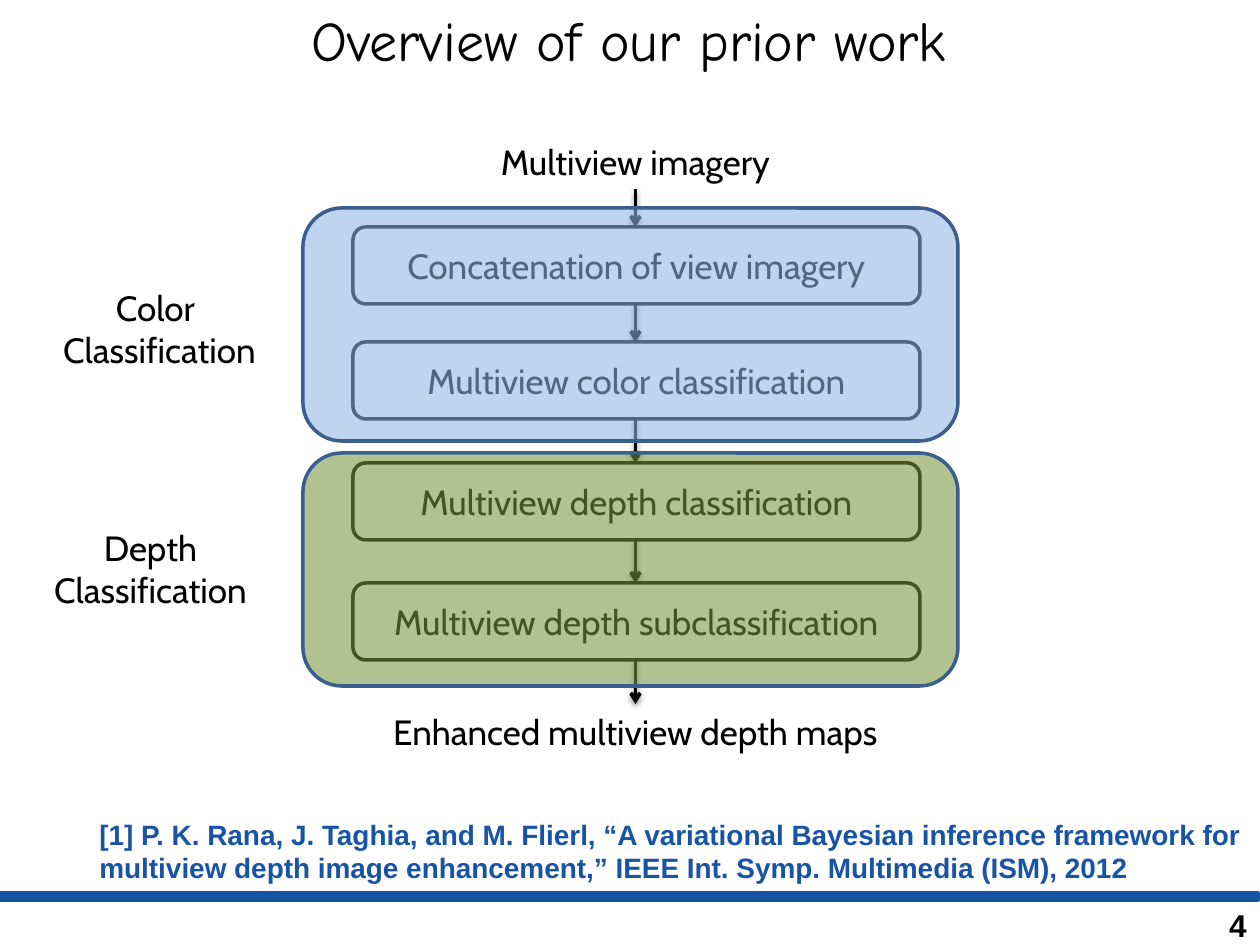
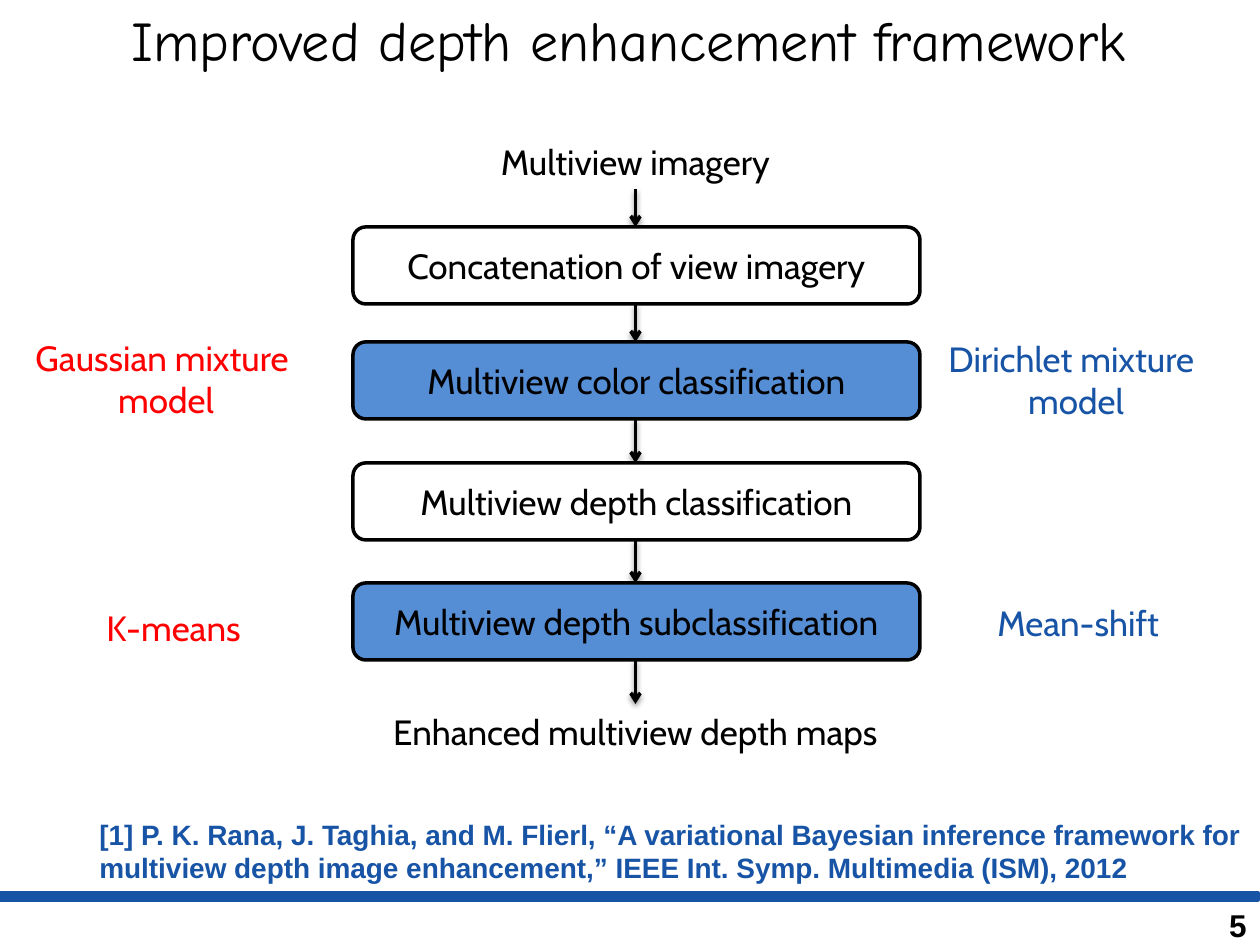
from dataclasses import dataclass
from lxml.etree import SubElement
from pptx import Presentation
from pptx.dml.color import RGBColor
from pptx.enum.shapes import MSO_CONNECTOR, MSO_SHAPE
from pptx.enum.text import MSO_ANCHOR, PP_ALIGN
from pptx.oxml.ns import qn
from pptx.util import Emu, Pt


@dataclass(frozen=True)
class Theme:
    black: str = "000000"
    white: str = "FFFFFF"
    accent: str = "1854A6"
    red: str = "FF0000"
    highlight: str = "558ED5"
    color_stage: str = "8EB4E3"
    depth_stage: str = "77933C"
    stage_line: str = "3A5F8C"
    stage_alpha: int = 57
    title_font: str = "Comic Neue"
    body_font: str = "Cabin"
    footer_font: str = "Arial"
    title_size: int = 32
    body_size: int = 20
    cite_size: int = 16
    number_size: int = 18
    line_width: int = 2


THEME = Theme()
PX_PER_INCH = 126
SLIDE = (0, 0, 1260, 945)
FLOW = (353, 134, 567, 625)
STEP_HEIGHT = 77
STEPS = {
    "Concatenation of view imagery": 93,
    "Multiview color classification": 208,
    "Multiview depth classification": 329,
    "Multiview depth subclassification": 449,
}
CITATION = (
    "[1] P. K. Rana, J. Taghia, and M. Flierl, “A variational Bayesian inference "
    "framework for multiview depth image enhancement,” IEEE Int. Symp. Multimedia "
    "(ISM), 2012"
)
LEFT, CENTER, RIGHT = PP_ALIGN.LEFT, PP_ALIGN.CENTER, PP_ALIGN.RIGHT


def px(n):
    return Emu(round(n * 914400 / PX_PER_INCH))


def rgb(color):
    return RGBColor.from_string(color)


def write(sp, text, font=THEME.body_font, size=THEME.body_size,
          color=THEME.black, bold=False, aligns=(CENTER,)):
    """Fill a shape with text; the last alignment serves all later lines."""
    tf = sp.text_frame
    tf.word_wrap = True
    tf.text = text
    for i, p in enumerate(tf.paragraphs):
        p.alignment = aligns[min(i, len(aligns) - 1)]
        for r in p.runs:
            r.font.name, r.font.size, r.font.bold = font, Pt(size), bold
            r.font.color.rgb = rgb(color)


def add_label(slide, box, text, **style):
    sp = slide.shapes.add_textbox(*map(px, box))
    write(sp, text, **style)


def add_box(slide, kind, box, fill, line):
    sp = slide.shapes.add_shape(kind, *map(px, box))
    sp.shadow.inherit = False
    sp.fill.solid()
    sp.fill.fore_color.rgb = rgb(fill)
    sp.line.color.rgb = rgb(line)
    sp.line.width = Pt(THEME.line_width)
    sp.text_frame.vertical_anchor = MSO_ANCHOR.MIDDLE
    return sp


def add_arrow(slide, x, top, bottom):
    c = slide.shapes.add_connector(
        MSO_CONNECTOR.STRAIGHT, px(x), px(top), px(x), px(bottom))
    c.line.color.rgb = rgb(THEME.black)
    c.line.width = Pt(THEME.line_width)
    props = c.line._get_or_add_ln()
    SubElement(props, qn("a:tailEnd"), type="arrow")
    # Soft shadow straight below the line
    effects = SubElement(props.getparent(), qn("a:effectLst"))
    shadow = SubElement(effects, qn("a:outerShdw"), blurRad=str(Pt(3.1)),
                        dist=str(Pt(1.6)), dir="5400000", rotWithShape="0")
    tint = SubElement(shadow, qn("a:srgbClr"), val=THEME.black)
    SubElement(tint, qn("a:alpha"), val="38000")


def add_frame(slide, box, title, number):
    """Title, citation, footer band and slide number."""
    x, y, w, h = box
    sp = add_box(slide, MSO_SHAPE.RECTANGLE, (x, y, w - 2, 79), THEME.white, THEME.white)
    write(sp, title, font=THEME.title_font, size=THEME.title_size)
    add_label(slide, (x + 87, y + h - 134, w - 88, 81), CITATION,
              font=THEME.footer_font, size=THEME.cite_size,
              color=THEME.accent, bold=True, aligns=(LEFT,))
    add_box(slide, MSO_SHAPE.RECTANGLE, (x, y + h - 52, w - 2, 7),
            THEME.accent, THEME.accent)
    add_label(slide, (x + w - 91, y + h - 45, 90, 50), str(number),
              font=THEME.footer_font, size=THEME.number_size,
              bold=True, aligns=(RIGHT,))


def add_flow(slide, box, highlighted=()):
    """Input, four processing steps and output, joined by arrows."""
    x, y, w, h = box
    tops = [y + top for top in STEPS.values()]
    starts = [y + 55] + [top + STEP_HEIGHT for top in tops]
    ends = tops + [y + h - 55]
    for start, end in zip(starts, ends):
        add_arrow(slide, x + w / 2 - 1, start, end)
    for text, top in zip(STEPS, tops):
        fill = THEME.highlight if text in highlighted else THEME.white
        sp = add_box(slide, MSO_SHAPE.ROUNDED_RECTANGLE,
                     (x, top, w, STEP_HEIGHT), fill, THEME.black)
        write(sp, text)
    add_label(slide, (x, y, w - 2, 55), "Multiview imagery")
    add_label(slide, (x, y + h - 55, w - 2, 55), "Enhanced multiview depth maps")


def add_stage(slide, box, fill):
    """Translucent panel over two steps."""
    sp = add_box(slide, MSO_SHAPE.ROUNDED_RECTANGLE, box, fill, THEME.stage_line)
    tint = sp.fill._xPr.find(qn("a:solidFill"))[0]
    SubElement(tint, qn("a:alpha"), val=str(THEME.stage_alpha * 1000))


def build_prior_work(slide, box):
    add_frame(slide, box, "Overview of our prior work", 4)
    add_flow(slide, FLOW)
    x, y = FLOW[:2]
    for top, fill in ((74, THEME.color_stage), (319, THEME.depth_stage)):
        add_stage(slide, (x - 50, y + top, 655, 233), fill)
    add_label(slide, (x - 339, y + 146, 291, 97), "Color \nClassification")
    add_label(slide, (x - 348, y + 386, 291, 97), "Depth\nClassification")


def build_improved(slide, box):
    add_frame(slide, box, "Improved depth enhancement framework", 5)
    add_flow(slide, FLOW, ("Multiview color classification",
                           "Multiview depth subclassification"))
    x, y = FLOW[:2]
    # Earlier methods on the left, their replacements on the right
    methods = (
        (-330, 196, 286, 97, "Gaussian mixture\nmodel", THEME.red),
        (583, 197, 280, 97, "Dirichlet mixture\nmodel", THEME.accent),
        (-259, 466, 166, 55, "K-means", THEME.red),
        (632, 461, 190, 55, "Mean-shift", THEME.accent),
    )
    for dx, dy, w, h, text, color in methods:
        add_label(slide, (x + dx, y + dy, w, h), text,
                  color=color, aligns=(LEFT, CENTER))


def main():
    prs = Presentation()
    prs.slide_width, prs.slide_height = px(SLIDE[2]), px(SLIDE[3])
    for build in (build_prior_work, build_improved):
        build(prs.slides.add_slide(prs.slide_layouts[6]), SLIDE)
    prs.save("out.pptx")


if __name__ == "__main__":
    main()
